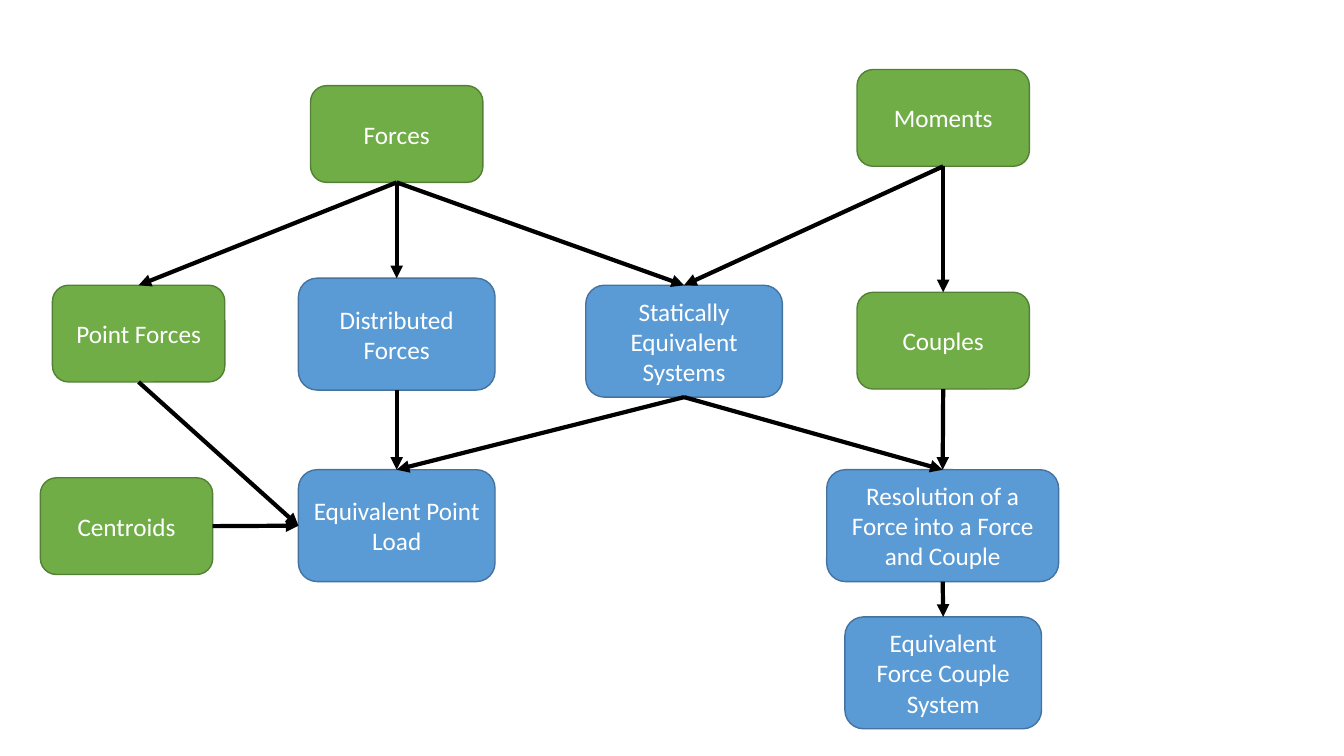
from lxml import etree
from pptx import Presentation
from pptx.dml.color import RGBColor
from pptx.enum.shapes import MSO_CONNECTOR, MSO_SHAPE
from pptx.enum.text import MSO_ANCHOR, PP_ALIGN
from pptx.oxml.ns import qn
from pptx.util import Inches, Pt

ROUND = MSO_SHAPE.ROUNDED_RECTANGLE
STRAIGHT = MSO_CONNECTOR.STRAIGHT
MIDDLE = MSO_ANCHOR.MIDDLE
CENTER = PP_ALIGN.CENTER

WHITE = RGBColor(0xFF, 0xFF, 0xFF)
BLACK = RGBColor(0x00, 0x00, 0x00)
GREEN = RGBColor(0x70, 0xAD, 0x47)
MOSS = RGBColor(0x53, 0x80, 0x35)
BLUE = RGBColor(0x5B, 0x9B, 0xD5)
NAVY = RGBColor(0x43, 0x73, 0x9E)

# Connection sites of a rounded rectangle
TOP, LEFT, BOTTOM, RIGHT = range(4)

# Kinds of topic: fill, outline, height
KNOWN = (GREEN, MOSS, 0.96)
NEW = (BLUE, NAVY, 1.11)

prs = Presentation()
prs.slide_width = Inches(13.33)
prs.slide_height = Inches(7.5)
slide = prs.slides.add_slide(prs.slide_layouts[6])

# Topics: text, kind, left, top, width
topics = [
    ("Forces", KNOWN, 3.08, 0.85, 1.71),
    ("Moments", KNOWN, 8.5, 0.69, 1.71),
    ("Point Forces", KNOWN, 0.52, 2.83, 1.71),
    ("Distributed Forces", NEW, 2.96, 2.76, 1.95),
    ("Statically Equivalent Systems", NEW, 5.81, 2.83, 1.95),
    ("Couples", KNOWN, 8.5, 2.9, 1.71),
    ("Centroids", KNOWN, 0.4, 4.74, 1.71),
    ("Equivalent Point Load", NEW, 2.96, 4.66, 1.95),
    ("Resolution of a Force into a Force and Couple", NEW, 8.2, 4.66, 2.3),
    ("Equivalent Force Couple System", NEW, 8.38, 6.12, 1.95),
]
boxes = {}
for text, (fill, edge, height), left, top, width in topics:
    box = slide.shapes.add_shape(
        ROUND, Inches(left), Inches(top), Inches(width), Inches(height))
    box.shadow.inherit = False
    box.fill.solid()
    box.fill.fore_color.rgb = fill
    box.line.color.rgb = edge
    box.line.width = Pt(1)
    frame = box.text_frame
    frame.word_wrap = True
    frame.vertical_anchor = MIDDLE
    para = frame.paragraphs[0]
    para.text = text
    para.alignment = CENTER
    para.font.name = "Calibri"
    para.font.size = Pt(18)
    para.font.color.rgb = WHITE
    boxes[text] = box

# Arrows: start topic, its site, end topic, its site
systems = "Statically Equivalent Systems"
load = "Equivalent Point Load"
split = "Resolution of a Force into a Force and Couple"
arrows = [
    ("Forces", BOTTOM, "Point Forces", TOP),
    ("Forces", BOTTOM, "Distributed Forces", TOP),
    ("Forces", BOTTOM, systems, TOP),
    ("Moments", BOTTOM, systems, TOP),
    ("Moments", BOTTOM, "Couples", TOP),
    ("Point Forces", BOTTOM, load, LEFT),
    ("Centroids", RIGHT, load, LEFT),
    ("Distributed Forces", BOTTOM, load, TOP),
    (systems, BOTTOM, load, TOP),
    (systems, BOTTOM, split, TOP),
    ("Couples", BOTTOM, split, TOP),
    (split, BOTTOM, "Equivalent Force Couple System", TOP),
]
for start, out, end, into in arrows:
    arrow = slide.shapes.add_connector(STRAIGHT, 0, 0, 0, 0)
    arrow.begin_connect(boxes[start], out)
    arrow.end_connect(boxes[end], into)
    arrow.line.color.rgb = BLACK
    arrow.line.width = Pt(3)
    props = arrow.line._get_or_add_ln()
    etree.SubElement(props, qn("a:tailEnd"), type="triangle")
    etree.SubElement(props.getparent(), qn("a:effectLst"))

prs.save("out.pptx")
